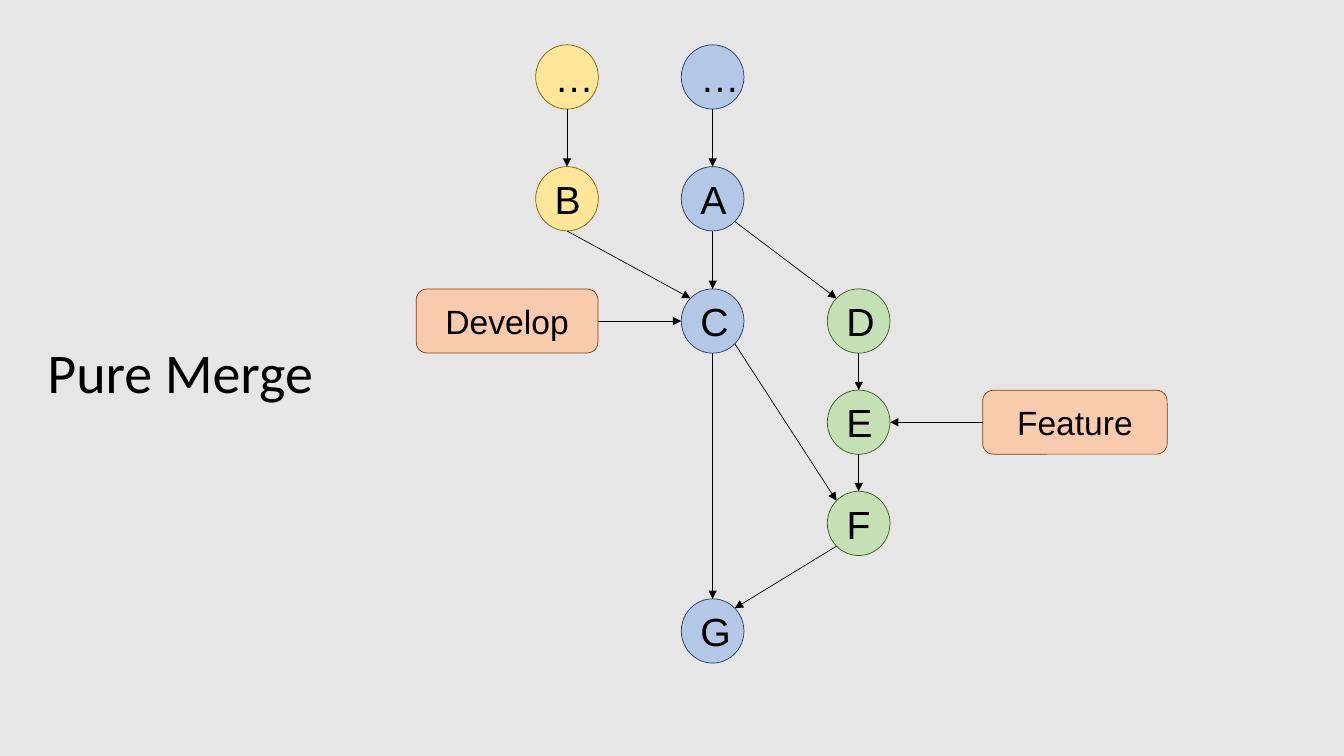
"""Build a slide that shows a pure merge as a commit graph."""
from dataclasses import dataclass
from enum import Enum
from math import sqrt

from lxml.etree import SubElement
from pptx import Presentation
from pptx.dml.color import RGBColor
from pptx.enum.shapes import MSO_CONNECTOR as Connector
from pptx.enum.shapes import MSO_SHAPE as Preset
from pptx.enum.text import MSO_ANCHOR as Anchor
from pptx.enum.text import MSO_AUTO_SIZE as AutoSize
from pptx.enum.text import PP_ALIGN as Align
from pptx.oxml.ns import qn
from pptx.shapes.base import BaseShape
from pptx.slide import Slide
from pptx.text.text import _Paragraph as Paragraph
from pptx.util import Cm, Pt

BLACK = RGBColor(0x00, 0x00, 0x00)
GREY = RGBColor(0xE7, 0xE6, 0xE6)
YELLOW, YELLOW_EDGE = RGBColor(0xFF, 0xE6, 0x99), RGBColor(0x80, 0x60, 0x00)
BLUE, BLUE_EDGE = RGBColor(0xB4, 0xC7, 0xE7), RGBColor(0x20, 0x38, 0x64)
GREEN, GREEN_EDGE = RGBColor(0xC5, 0xE0, 0xB4), RGBColor(0x38, 0x57, 0x23)
ORANGE, ORANGE_EDGE = RGBColor(0xF8, 0xCB, 0xAD), RGBColor(0x84, 0x3C, 0x0B)
HAIRLINE = Pt(0.5)
DIAGONAL = sqrt(0.5)


class Side(Enum):
    TOP = (0, -1)
    LEFT = (-1, 0)
    BOTTOM = (0, 1)
    RIGHT = (1, 0)
    TOP_LEFT = (-DIAGONAL, -DIAGONAL)
    TOP_RIGHT = (DIAGONAL, -DIAGONAL)
    BOTTOM_LEFT = (-DIAGONAL, DIAGONAL)
    BOTTOM_RIGHT = (DIAGONAL, DIAGONAL)


BOX_SITES = {Side.TOP: 0, Side.LEFT: 1, Side.BOTTOM: 2, Side.RIGHT: 3}


@dataclass(frozen=True)
class Node:
    text: str
    x: float
    y: float
    fill: RGBColor
    edge: RGBColor
    width: float = 1.58
    height: float = 1.62
    preset: Preset = Preset.OVAL
    size: int = 28

    def point(self, side: Side) -> tuple[Cm, Cm]:
        dx, dy = side.value
        return Cm(self.x + dx * self.width / 2), Cm(self.y + dy * self.height / 2)


@dataclass(frozen=True)
class Link:
    source: str
    start: Side
    target: str
    end: Side


COLUMN_X = {"main": 14.29, "develop": 17.96, "feature": 21.64}
ROW_Y = [1.94, 5.01, 8.09, 10.64, 13.19, 15.9]


def commit(text: str, column: str, row: int) -> Node:
    fill, edge = {
        "main": (YELLOW, YELLOW_EDGE),
        "develop": (BLUE, BLUE_EDGE),
        "feature": (GREEN, GREEN_EDGE),
    }[column]
    return Node(text, COLUMN_X[column], ROW_Y[row], fill, edge)


def branch(text: str, x: float, row: int, width: float) -> Node:
    return Node(text, x, ROW_Y[row], ORANGE, ORANGE_EDGE, width, 1.61,
                Preset.ROUNDED_RECTANGLE, 24)


NODES = {
    "main start": commit("…", "main", 0),
    "B": commit("B", "main", 1),
    "develop start": commit("…", "develop", 0),
    "A": commit("A", "develop", 1),
    "C": commit("C", "develop", 2),
    "G": commit("G", "develop", 5),
    "D": commit("D", "feature", 2),
    "E": commit("E", "feature", 3),
    "F": commit("F", "feature", 4),
    "Develop": branch("Develop", 12.78, 2, 4.58),
    "Feature": branch("Feature", 27.09, 3, 4.65),
}

LINKS = [
    Link("main start", Side.BOTTOM, "B", Side.TOP),
    Link("develop start", Side.BOTTOM, "A", Side.TOP),
    Link("A", Side.BOTTOM, "C", Side.TOP),
    Link("C", Side.BOTTOM, "G", Side.TOP),
    Link("D", Side.BOTTOM, "E", Side.TOP),
    Link("E", Side.BOTTOM, "F", Side.TOP),
    Link("B", Side.BOTTOM, "C", Side.TOP_LEFT),
    Link("A", Side.BOTTOM_RIGHT, "D", Side.TOP_LEFT),
    Link("C", Side.BOTTOM_RIGHT, "F", Side.TOP_LEFT),
    Link("F", Side.BOTTOM_LEFT, "G", Side.TOP_RIGHT),
    Link("Develop", Side.RIGHT, "C", Side.LEFT),
    Link("Feature", Side.LEFT, "E", Side.RIGHT),
]


def add_run(p: Paragraph, text: str, font: str, size: int) -> None:
    r = p.add_run()
    r.text = text
    r.font.name = font
    r.font.size = Pt(size)
    r.font.color.rgb = BLACK


def add_title(s: Slide, text: str) -> None:
    sp = s.shapes.title
    sp.left, sp.top, sp.width, sp.height = Cm(0.94), Cm(8.38), Cm(7.21), Cm(1.96)
    tf = sp.text_frame
    tf.word_wrap = False
    tf.auto_size = AutoSize.SHAPE_TO_FIT_TEXT
    tf.vertical_anchor = Anchor.TOP
    p = tf.paragraphs[0]
    p.alignment = Align.LEFT
    add_run(p, text, "Calibri", 40)


def add_node(s: Slide, node: Node) -> BaseShape:
    sp = s.shapes.add_shape(
        node.preset, Cm(node.x - node.width / 2), Cm(node.y - node.height / 2),
        Cm(node.width), Cm(node.height))
    sp.shadow.inherit = False
    sp.fill.solid()
    sp.fill.fore_color.rgb = node.fill
    sp.line.color.rgb = node.edge
    sp.line.width = HAIRLINE
    tf = sp.text_frame
    tf.vertical_anchor = Anchor.MIDDLE
    p = tf.paragraphs[0]
    p.alignment = Align.CENTER
    add_run(p, node.text, "Arial", node.size)
    return sp


def add_link(s: Slide, link: Link, shapes: dict[str, BaseShape]) -> None:
    source, target = NODES[link.source], NODES[link.target]
    line = s.shapes.add_connector(
        Connector.STRAIGHT, *source.point(link.start), *target.point(link.end))
    if source.preset == Preset.ROUNDED_RECTANGLE:
        line.begin_connect(shapes[link.source], BOX_SITES[link.start])
    line.line.color.rgb = BLACK
    line.line.width = HAIRLINE
    properties = line._element.spPr
    SubElement(properties.find(qn("a:ln")), qn("a:tailEnd"), type="triangle")
    SubElement(properties, qn("a:effectLst"))


def main() -> None:
    prs = Presentation()
    prs.slide_width, prs.slide_height = Cm(33.87), Cm(19.05)
    s = prs.slides.add_slide(prs.slide_layouts[5])
    s.background.fill.solid()
    s.background.fill.fore_color.rgb = GREY
    add_title(s, "Pure Merge")
    shapes = {name: add_node(s, node) for name, node in NODES.items()}
    for link in LINKS:
        add_link(s, link, shapes)
    prs.save("out.pptx")


if __name__ == "__main__":
    main()
